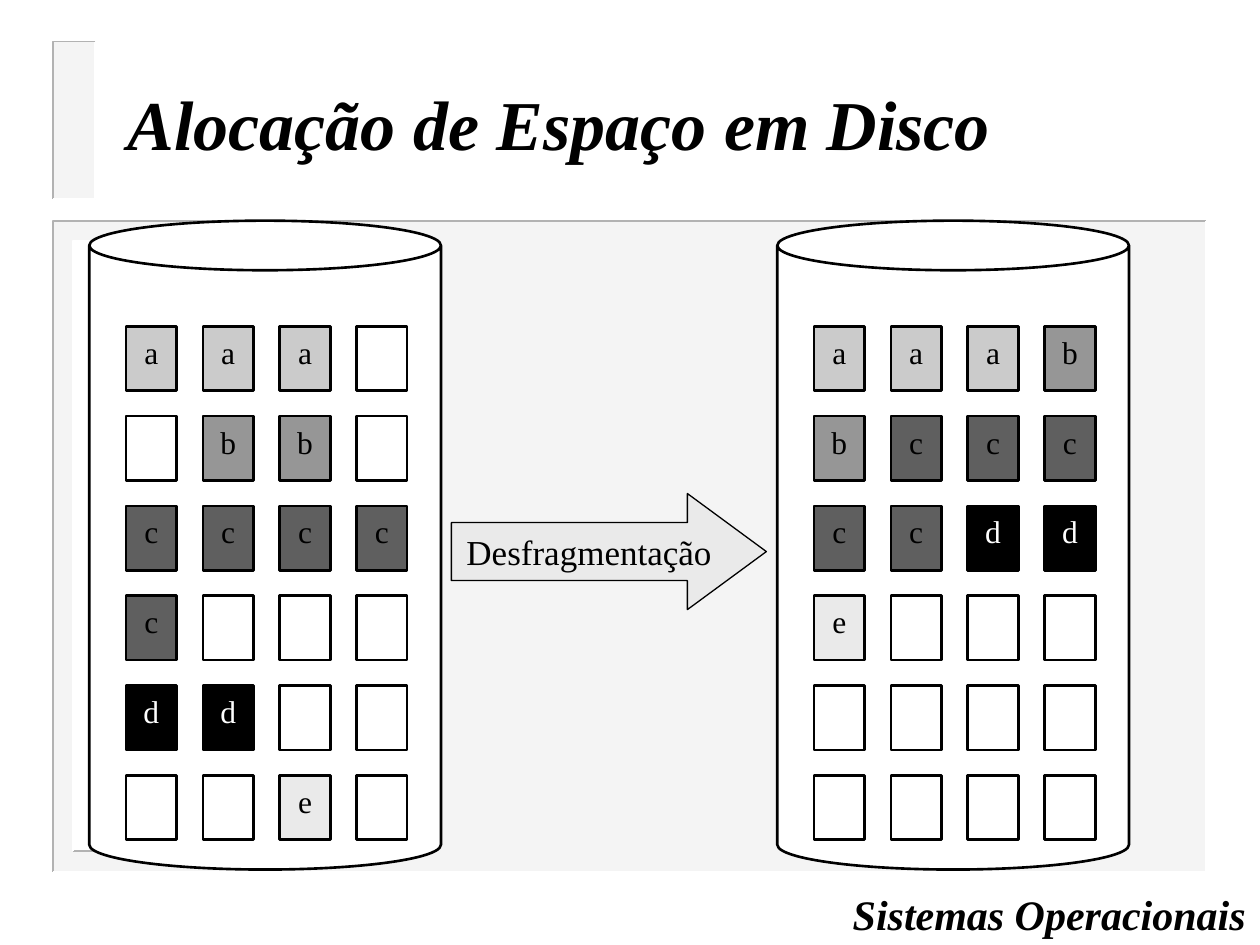
from lxml import etree
from pptx import Presentation
from pptx import util as u
from pptx.dml.color import RGBColor
from pptx.enum import shapes, text
from pptx.oxml.ns import qn

FONT = "Times New Roman"
BLACK, WHITE, EDGE, PANEL = "000000", "FFFFFF", "B2B2B2", "EAEAEA"
FILE_FILLS = {"a": "CBCBCB", "b": "969696", "c": "5F5F5F",
              "d": BLACK, "e": PANEL, ".": WHITE}

# One letter per disk block, a dot for a free block
FRAGMENTED = ["aaa.", ".bb.", "cccc", "c...", "dd..", "..e."]
DEFRAGMENTED = ["aaab", "bccc", "ccdd", "e...", "....", "...."]


def color(hex_value):
    return RGBColor.from_string(hex_value)


def add_box(page, kind, area, fill, line=None, width=1.5):
    """Add a preset shape; area is left, top, width, height in cm."""
    box = page.shapes.add_shape(kind, *map(u.Cm, area))
    box.shadow.inherit = False
    box.fill.solid()
    box.fill.fore_color.rgb = color(fill)
    if line:
        box.line.color.rgb = color(line)
        box.line.width = u.Pt(width)
    else:
        box.line.fill.background()
    return box


def write(box, words, size, ink=BLACK, align=text.PP_ALIGN.CENTER,
          anchor=text.MSO_ANCHOR.MIDDLE, wrap=True, side=0.25, strong=False):
    frame = box.text_frame
    frame.word_wrap = wrap
    frame.vertical_anchor = anchor
    frame.margin_left = frame.margin_right = u.Cm(side)
    frame.margin_top = frame.margin_bottom = u.Cm(0.13)
    para = frame.paragraphs[0]
    para.alignment = align
    span = para.add_run()
    span.text = words
    span.font.name = FONT
    span.font.size = u.Pt(size)
    span.font.bold = span.font.italic = strong
    span.font.color.rgb = color(ink)


def add_heading(page, area, words, size, anchor, wrap):
    box = page.shapes.add_textbox(*map(u.Cm, area))
    write(box, words, size, align=text.PP_ALIGN.LEFT, anchor=anchor,
          wrap=wrap, strong=True)


def add_edge(page, points, line):
    start, *rest = [(u.Cm(x), u.Cm(y)) for x, y in points]
    builder = page.shapes.build_freeform(*start)
    builder.add_line_segments(rest, close=False)
    edge = builder.convert_to_shape()
    edge.shadow.inherit = False
    edge.fill.background()
    edge.line.color.rgb = color(line)
    edge.line.width = u.Pt(1)


def add_bevel(page, area, fill, raised=False):
    """Add a slab with a grey and a white edge; a sunken one is see-through."""
    left, top, width, height = area
    right, bottom = left + width, top + height
    slab = add_box(page, shapes.MSO_SHAPE.RECTANGLE, area, fill)
    upper = [(right, top), (left, top), (left, bottom)]
    lower = [(right, top), (right, bottom), (left, bottom)]
    if raised:
        upper, lower = lower, upper
    else:
        tint = slab.fill._xPr.find(qn("a:solidFill"))[0]
        etree.SubElement(tint, qn("a:alpha"), val="50000")
    add_edge(page, upper, EDGE)
    add_edge(page, lower, WHITE)


def add_disk(page, left, blocks):
    top = 4.45
    disk = add_box(page, shapes.MSO_SHAPE.CAN, (left, top, 7.09, 13.08),
                   WHITE, BLACK)
    disk.adjustments[0] = 0.141
    for row, letters in enumerate(blocks):
        for column, letter in enumerate(letters):
            area = (left + 0.74 + 1.55 * column, top + 2.13 + 1.81 * row,
                    1.02, 1.3)
            block = add_box(page, shapes.MSO_SHAPE.RECTANGLE, area,
                            FILE_FILLS[letter], BLACK)
            if letter != ".":
                write(block, letter, 18, WHITE if letter == "d" else BLACK,
                      anchor=text.MSO_ANCHOR.TOP, side=0)


def main():
    deck = Presentation()
    deck.slide_width, deck.slide_height = u.Cm(25.4), u.Cm(19.05)
    page = deck.slides.add_slide(deck.slide_layouts[6])

    # Background panels
    add_bevel(page, (1.07, 4.45, 23.24, 13.13), PANEL)
    add_bevel(page, (1.48, 4.86, 0.43, 12.29), WHITE, raised=True)
    add_bevel(page, (1.07, 0.84, 0.85, 3.18), PANEL)

    # Title and course name
    add_heading(page, (2.33, 0.94, 21.59, 3.07), "Alocação de Espaço em Disco",
                40, text.MSO_ANCHOR.MIDDLE, True)
    add_heading(page, (16.94, 17.78, 8.43, 1.27), "Sistemas Operacionais",
                24, text.MSO_ANCHOR.TOP, False)

    # Disk before and after
    add_disk(page, 1.8, FRAGMENTED)
    add_disk(page, 15.67, DEFRAGMENTED)

    # Arrow between the disks
    arrow = add_box(page, shapes.MSO_SHAPE.RIGHT_ARROW,
                    (9.1, 9.95, 6.35, 2.34), PANEL, BLACK, 0.75)
    arrow.adjustments[0] = 0.5
    arrow.adjustments[1] = 0.68
    write(arrow, "Desfragmentação", 20, wrap=False)

    deck.save("out.pptx")


if __name__ == "__main__":
    main()
